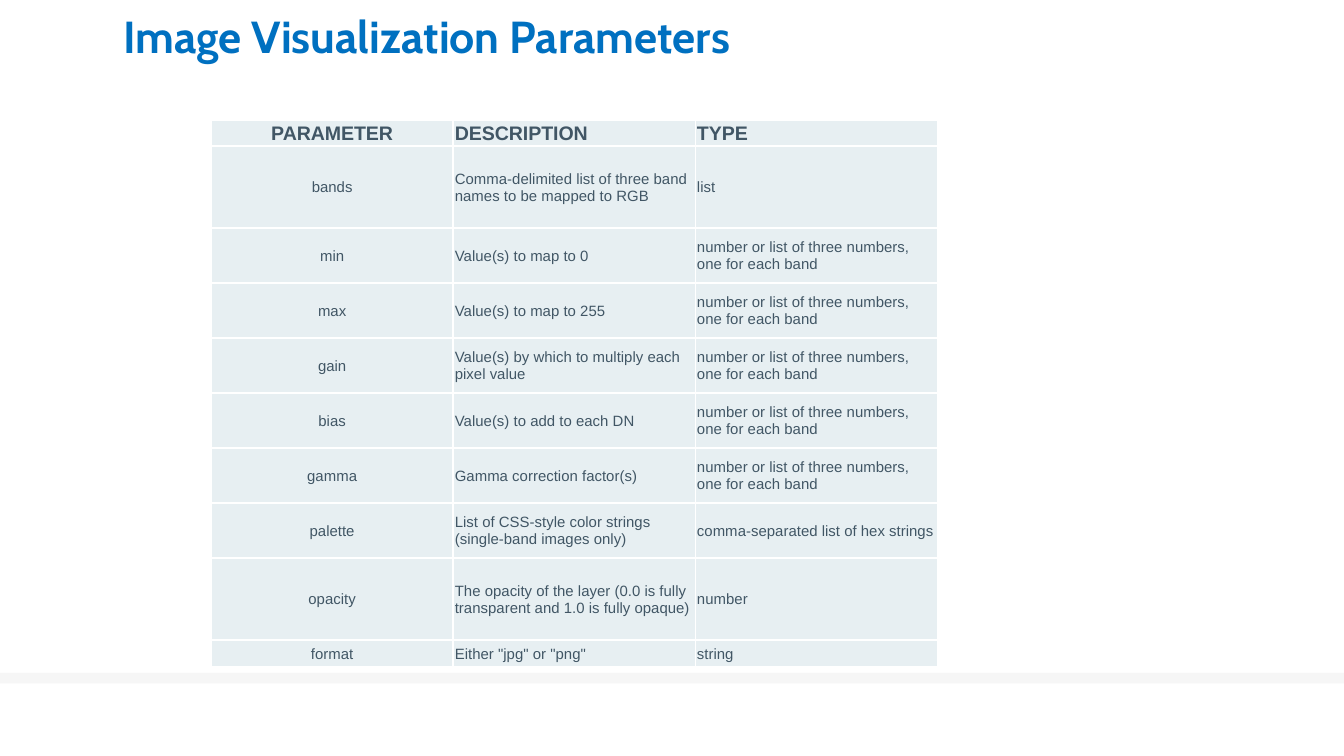
from pptx import Presentation
from pptx import util as u
from pptx.dml.color import RGBColor
from pptx.enum import shapes, text
from pptx.oxml import parse_xml
from pptx.oxml.ns import nsdecls

PER_BAND = "number or list of three numbers, one for each band"
ROWS = [
    (0.42, "PARAMETER", "DESCRIPTION", "TYPE"),
    (1.55, "bands", "Comma-delimited list of three band names to be mapped to RGB", "list"),
    (1.04, "min", "Value(s) to map to 0", PER_BAND),
    (1.04, "max", "Value(s) to map to 255", PER_BAND),
    (1.04, "gain", "Value(s) by which to multiply each pixel value", PER_BAND),
    (1.04, "bias", "Value(s) to add to each DN", PER_BAND),
    (1.04, "gamma", "Gamma correction factor(s)", PER_BAND),
    (1.04, "palette", "List of CSS-style color strings (single-band images only)",
     "comma-separated list of hex strings"),
    (1.55, "opacity", "The opacity of the layer (0.0 is fully transparent and 1.0 is fully opaque)",
     "number"),
    (0.51, "format", 'Either "jpg" or "png"', "string"),
]
HEADER = {"name": "Arial", "size": u.Pt(10.5), "bold": True}
BODY = {"name": "Arial", "size": u.Pt(8), "bold": False}
TITLE = {"name": "Cabin", "size": u.Pt(24), "bold": True}
CELL = {
    "margin_left": u.Cm(0.03),
    "margin_top": u.Cm(0.03),
    "margin_right": u.Cm(0.03),
    "margin_bottom": 0,
    "vertical_anchor": text.MSO_ANCHOR.MIDDLE,
}
TITLE_FRAME = {
    "margin_left": u.Cm(0.25),
    "margin_top": u.Cm(0.25),
    "margin_right": u.Cm(0.25),
    "margin_bottom": u.Cm(0.25),
    "vertical_anchor": text.MSO_ANCHOR.BOTTOM,
    "word_wrap": True,
}


def color(value):
    return RGBColor.from_string(value)


def apply(obj, values):
    for name, value in values.items():
        setattr(obj, name, value)


def write(p, words, font, ink):
    r = p.add_run()
    r.text = words
    apply(r.font, font)
    r.font.color.rgb = color(ink)


def add_borders(cell, ink):
    tcPr = cell._tc.get_or_add_tcPr()
    for i, side in enumerate(("lnL", "lnR", "lnT", "lnB")):
        tcPr.insert(i, parse_xml(
            f'<a:{side} {nsdecls("a")} w="{u.Pt(1)}"><a:solidFill>'
            f'<a:srgbClr val="{ink}"/></a:solidFill></a:{side}>'))


def add_footer_band(s, left, top, width, height):
    sp = s.shapes.add_shape(shapes.MSO_SHAPE.RECTANGLE, left, top, width, height)
    sp.shadow.inherit = False
    sp.fill.solid()
    sp.fill.fore_color.rgb = color("F6F6F6")
    sp.line.fill.background()


def add_title(s, left, top, width, height):
    tf = s.shapes.add_textbox(left, top, width, height).text_frame
    apply(tf, TITLE_FRAME)
    write(tf.paragraphs[0], "Image Visualization Parameters", TITLE, "0070C0")


def add_parameter_table(s, left, top, width, height):
    table = s.shapes.add_table(len(ROWS), 3, left, top, width, height).table
    apply(table, {"first_row": False, "horz_banding": False})
    for column in table.columns:
        column.width = width // 3
    for i, (row_height, *words) in enumerate(ROWS):
        table.rows[i].height = u.Cm(row_height)
        for j, word in enumerate(words):
            cell = table.cell(i, j)
            apply(cell, CELL)
            cell.fill.solid()
            cell.fill.fore_color.rgb = color("E7EFF2")
            add_borders(cell, "FFFFFF")
            p = cell.text_frame.paragraphs[0]
            p.alignment = text.PP_ALIGN.LEFT if j else text.PP_ALIGN.CENTER
            write(p, word, BODY if i else HEADER, "415665")


def main():
    prs = Presentation()
    prs.slide_width, prs.slide_height = u.Cm(25.4), u.Cm(14.29)
    s = prs.slides.add_slide(prs.slide_layouts[6])
    add_footer_band(s, 0, u.Cm(12.72), prs.slide_width, u.Cm(0.2))
    add_title(s, u.Cm(2.08), u.Cm(-0.3), u.Cm(21.51), u.Cm(1.73))
    table_height = u.Cm(sum(row[0] for row in ROWS))
    add_parameter_table(s, u.Cm(3.99), u.Cm(2.28), u.Cm(13.73), table_height)
    prs.save("out.pptx")


if __name__ == "__main__":
    main()
